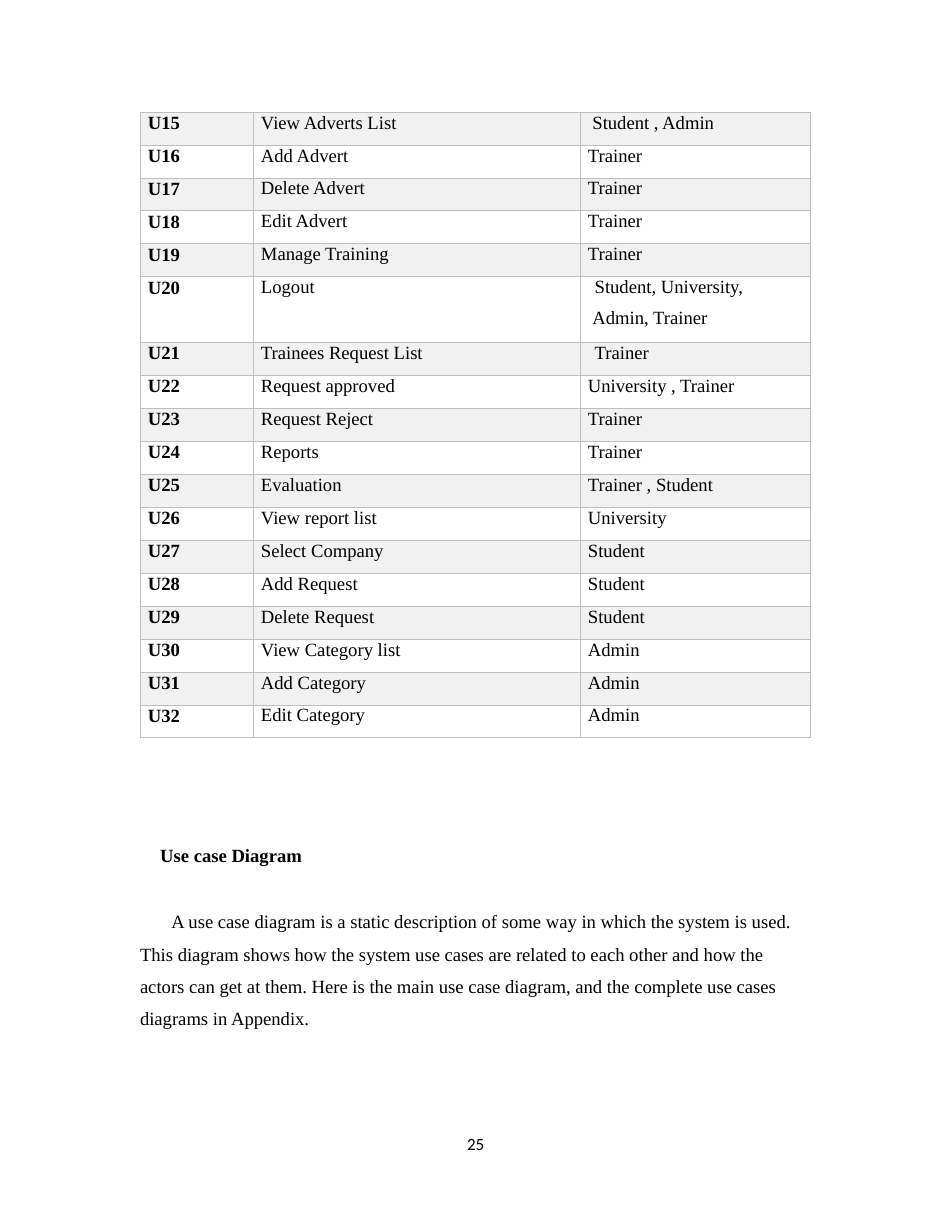
import pptx
import pptx.util
import pptx.dml.color
import pptx.enum.text
import lxml.etree
from dataclasses import dataclass
from pptx.util import Inches, Pt


@dataclass(frozen=True)
class Theme:
    font: str = "Times New Roman"
    number_font: str = "Calibri"
    text: str = "000000"
    band: str = "F1F1F1"
    border: str = "BEBEBE"
    body_size: float = 12
    number_size: float = 11


theme = Theme()


def write(paragraph, text, left=0.01, bold=False, spacing=None, before=0,
          font=theme.font, size=theme.body_size):
    properties = paragraph._p.get_or_add_pPr()
    properties.set("marL", str(Inches(left)))
    properties.set("indent", "0")
    paragraph.alignment = pptx.enum.text.PP_ALIGN.LEFT
    paragraph.space_before = Pt(before)
    if spacing:
        paragraph.line_spacing = spacing
    run = paragraph.add_run()
    run.text = text
    run.font.name = font
    run.font.size = Pt(size)
    run.font.bold = bold
    run.font.color.rgb = pptx.dml.color.RGBColor.from_string(theme.text)


def prepare(shape):
    frame = shape.text_frame
    frame.margin_left = frame.margin_top = frame.margin_right = frame.margin_bottom = 0
    frame.word_wrap = True
    frame.auto_size = pptx.enum.text.MSO_AUTO_SIZE.NONE
    frame.vertical_anchor = pptx.enum.text.MSO_ANCHOR.TOP
    return frame


presentation = pptx.Presentation()
presentation.slide_width = Inches(8.5)
presentation.slide_height = Inches(11)
slide = presentation.slides.add_slide(presentation.slide_layouts[5])

use_cases = [
    ("View Adverts List", ["Student , Admin"], [0.11]),
    ("Add Advert", ["Trainer"], [0.07]),
    ("Delete Advert", ["Trainer"], [0.07]),
    ("Edit Advert", ["Trainer"], [0.07]),
    ("Manage Training", ["Trainer"], [0.07]),
    ("Logout", ["Student, University,", "Admin, Trainer"], [0.13, 0.11]),
    ("Trainees Request List", ["Trainer"], [0.13]),
    ("Request approved", ["University , Trainer"], [0.07]),
    ("Request Reject", ["Trainer"], [0.07]),
    ("Reports", ["Trainer"], [0.07]),
    ("Evaluation", ["Trainer , Student"], [0.07]),
    ("View report list", ["University"], [0.07]),
    ("Select Company", ["Student"], [0.07]),
    ("Add Request", ["Student"], [0.07]),
    ("Delete Request", ["Student"], [0.07]),
    ("View Category list", ["Admin"], [0.07]),
    ("Add Category", ["Admin"], [0.07]),
    ("Edit Category", ["Admin"], [0.07]),
]
first_number = 15
table_height = Inches(5.59)
line_count = sum(len(actors) for _, actors, _ in use_cases)

table = slide.shapes.add_table(
    len(use_cases), 3, Inches(1.25), Inches(1), Inches(6), table_height).table
table.first_row = False
table.horz_banding = False
for column, width in zip(table.columns, (1.01, 2.92, 2.06)):
    column.width = Inches(width)

for index, (name, actors, indents) in enumerate(use_cases):
    table.rows[index].height = table_height * len(actors) // line_count
    contents = [
        ([f"U{first_number + index}"], [0.07], True, 13.8),
        ([name], [0.07], False, 13.6),
        (actors, indents, False, 13.6),
    ]
    for cell, (lines, lefts, bold, spacing) in zip(table.rows[index].cells, contents):
        cell.margin_left = cell.margin_top = cell.margin_right = cell.margin_bottom = 0
        for number, (line, left) in enumerate(zip(lines, lefts)):
            frame = cell.text_frame
            paragraph = frame.add_paragraph() if number else frame.paragraphs[0]
            write(paragraph, line, left, bold,
                  None if number else Pt(spacing), 6.3 if number else 0)
        properties = cell._tc.get_or_add_tcPr()
        for side in ("lnL", "lnR", "lnT", "lnB"):
            properties.append(pptx.oxml.parse_xml(
                f'<a:{side} xmlns:a="http://schemas.openxmlformats.org/drawingml/2006/main" '
                f'w="{Pt(0.5)}"><a:solidFill><a:srgbClr val="{theme.border}"/>'
                f'</a:solidFill></a:{side}>'))
        if index % 2 == 0:
            cell.fill.solid()
            cell.fill.fore_color.rgb = pptx.dml.color.RGBColor.from_string(theme.band)
        else:
            cell.fill.background()

title = slide.shapes.title
title.left, title.top = Inches(1.24), Inches(7.53)
title.width, title.height = Inches(5.85), Inches(0.25)
write(prepare(title).paragraphs[0], "Use case Diagram", 0.19, True)

description = slide.shapes.add_textbox(Inches(1.24), Inches(8.12), Inches(5.85), Inches(1.05))
description_frame = prepare(description)
description_lines = [
    ("A use case diagram is a static description of some way in which the system is used.",
     0.29, None, 0),
    ("This diagram shows how the system use cases are related to each other and how the",
     0.01, None, 7),
    ("actors can get at them. Here is the main use case diagram, and the complete use cases "
     "diagrams in Appendix.", 0.01, 1.43, 0.1),
]
for number, (line, left, spacing, before) in enumerate(description_lines):
    paragraph = description_frame.add_paragraph() if number else description_frame.paragraphs[0]
    write(paragraph, line, left, spacing=spacing, before=before)

page_number = slide.shapes.add_textbox(Inches(4.16), Inches(10.14), Inches(0.21), Inches(0.18))
write(prepare(page_number).paragraphs[0], "25", spacing=Pt(11.5),
      font=theme.number_font, size=theme.number_size)

presentation.save("out.pptx")
